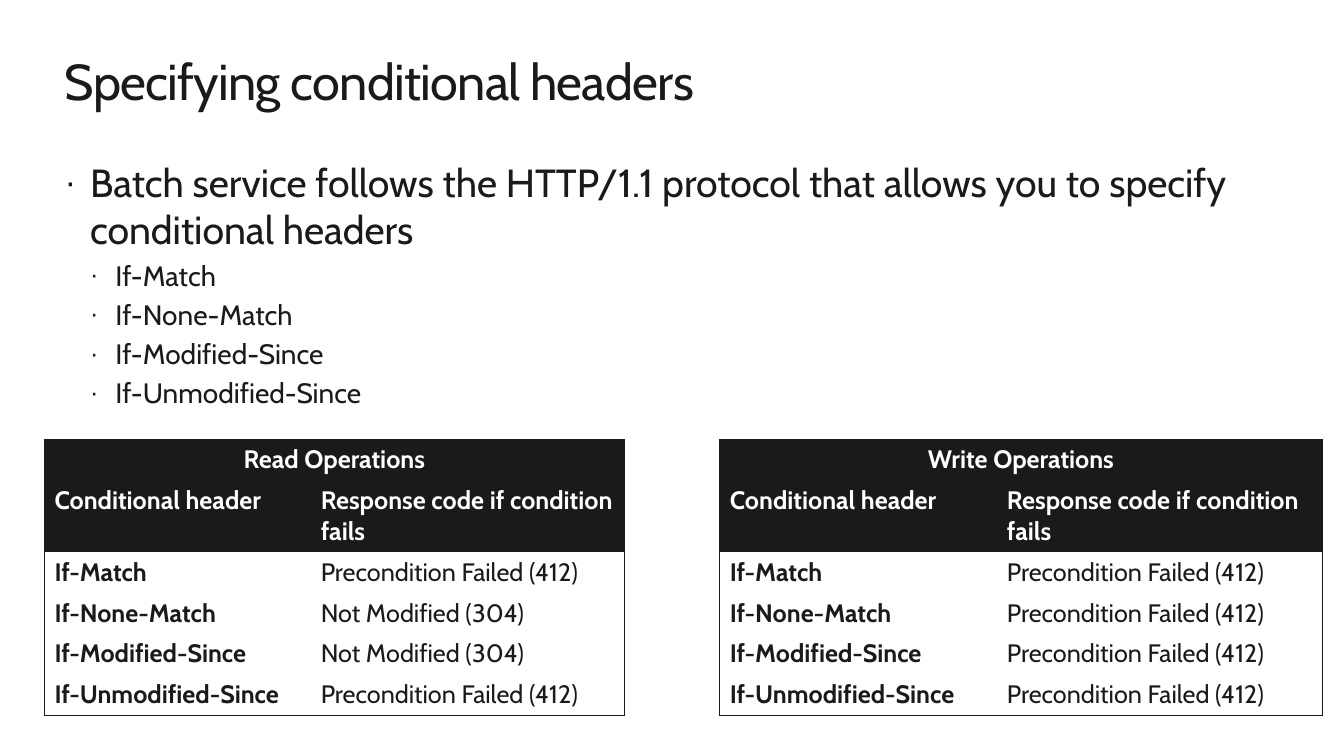
import pptx
import pptx.dml.color
import pptx.enum.text
import pptx.oxml.ns
import pptx.util
from lxml import etree

Cm = pptx.util.Cm
Pt = pptx.util.Pt
INK = pptx.dml.color.RGBColor(0x1A, 0x1A, 0x1A)
WHITE = pptx.dml.color.RGBColor(0xFF, 0xFF, 0xFF)
FONT = "Cabin"

TITLE = "Specifying conditional headers"
INTRO = ("Batch service follows the HTTP/1.1 protocol that allows you to specify "
         "conditional headers")
HEADERS = ["If-Match", "If-None-Match", "If-Modified-Since", "If-Unmodified-Since"]
COLUMN_HEADS = ("Conditional header", "Response code if condition fails")
FAILED = "Precondition Failed (412)"
UNCHANGED = "Not Modified (304)"

# heading, left, column widths (cm), response code for each header
OPERATIONS = [
    ("Read Operations", 1.12, (6.71, 7.9), [FAILED, UNCHANGED, UNCHANGED, FAILED]),
    ("Write Operations", 18.14, (6.98, 8.2), [FAILED] * 4),
]
TABLE_TOP = 11.07
ROW_HEIGHT, HEAD_HEIGHT = 1.03, 1.8
LEVEL_SIZES = (28, 20)
INDENT = Cm(0.64)


def add_run(paragraph, text, size, color, bold=False):
    run = paragraph.add_run()
    run.text = text
    run.font.name = FONT
    run.font.size = Pt(size)
    run.font.bold = bold
    run.font.color.rgb = color
    return run


def add_child(parent, tag, **attributes):
    return etree.SubElement(parent, pptx.oxml.ns.qn(tag), attributes)


def place(holder, top, height):
    """Set the position of a placeholder and clear its margins."""
    holder.left, holder.top = Cm(1.63), Cm(top)
    holder.width, holder.height = Cm(30.61), Cm(height)
    frame = holder.text_frame
    frame.margin_left = frame.margin_right = frame.margin_top = frame.margin_bottom = 0
    frame.vertical_anchor = pptx.enum.text.MSO_ANCHOR.TOP
    frame.auto_size = pptx.enum.text.MSO_AUTO_SIZE.NONE
    frame.word_wrap = True
    return frame


def add_bullet(paragraph, text, level):
    size = LEVEL_SIZES[level]
    paragraph.level = level
    paragraph.space_before = Pt(size * 0.2)
    add_run(paragraph, text, size, INK)
    properties = paragraph._p.get_or_add_pPr()
    properties.set("marL", str(INDENT * (level + 1)))
    properties.set("indent", str(-INDENT))
    add_child(properties, "a:buSzPct", val="90000")
    add_child(properties, "a:buChar", char="·")


def set_borders(cell, drawn):
    """Draw the sides named in drawn (L, R, T, B) and hide the others."""
    properties = cell._tc.get_or_add_tcPr()
    for side in "LRTB":
        line = add_child(properties, f"a:ln{side}", w=str(Pt(0.75)))
        if side in drawn:
            add_child(add_child(line, "a:solidFill"), "a:srgbClr", val=str(INK))
        else:
            add_child(line, "a:noFill")


def add_operations(slide, heading, left, widths, codes):
    rows = [(heading, ""), COLUMN_HEADS, *zip(HEADERS, codes)]
    heights = [HEAD_HEIGHT if row == COLUMN_HEADS else ROW_HEIGHT for row in rows]
    table = slide.shapes.add_table(
        len(rows), len(widths), Cm(left), Cm(TABLE_TOP),
        Cm(sum(widths)), Cm(sum(heights))).table
    table.horz_banding = False
    for column, width in zip(table.columns, widths):
        column.width = Cm(width)
    table.cell(0, 0).merge(table.cell(0, 1))

    for r, row in enumerate(rows):
        table.rows[r].height = Cm(heights[r])
        is_head = r < 2
        for c, text in enumerate(row):
            cell = table.cell(r, c)
            sides = "LR" if r == 0 else "LR"[c]
            sides += "T" if r == 0 else "B" if r == len(rows) - 1 else ""
            set_borders(cell, sides)
            cell.fill.solid()
            cell.fill.fore_color.rgb = INK if is_head else WHITE
            if text:
                paragraph = cell.text_frame.paragraphs[0]
                if r == 0:
                    paragraph.alignment = pptx.enum.text.PP_ALIGN.CENTER
                add_run(paragraph, text, 18, WHITE if is_head else INK,
                        bold=is_head or c == 0)


def main():
    deck = pptx.Presentation()
    deck.slide_width, deck.slide_height = Cm(33.87), Cm(19.05)
    slide = deck.slides.add_slide(deck.slide_layouts[1])

    title = place(slide.shapes.title, 1.27, 1.55).paragraphs[0]
    title.alignment = pptx.enum.text.PP_ALIGN.LEFT
    title_run = add_run(title, TITLE, 36, INK)
    title_run.font._element.set("spc", "-50")

    body = place(slide.placeholders[1], 3.99, 6.5)
    add_bullet(body.paragraphs[0], INTRO, 0)
    for header in HEADERS:
        add_bullet(body.add_paragraph(), header, 1)

    for operation in OPERATIONS:
        add_operations(slide, *operation)
    deck.save("out.pptx")


if __name__ == "__main__":
    main()
